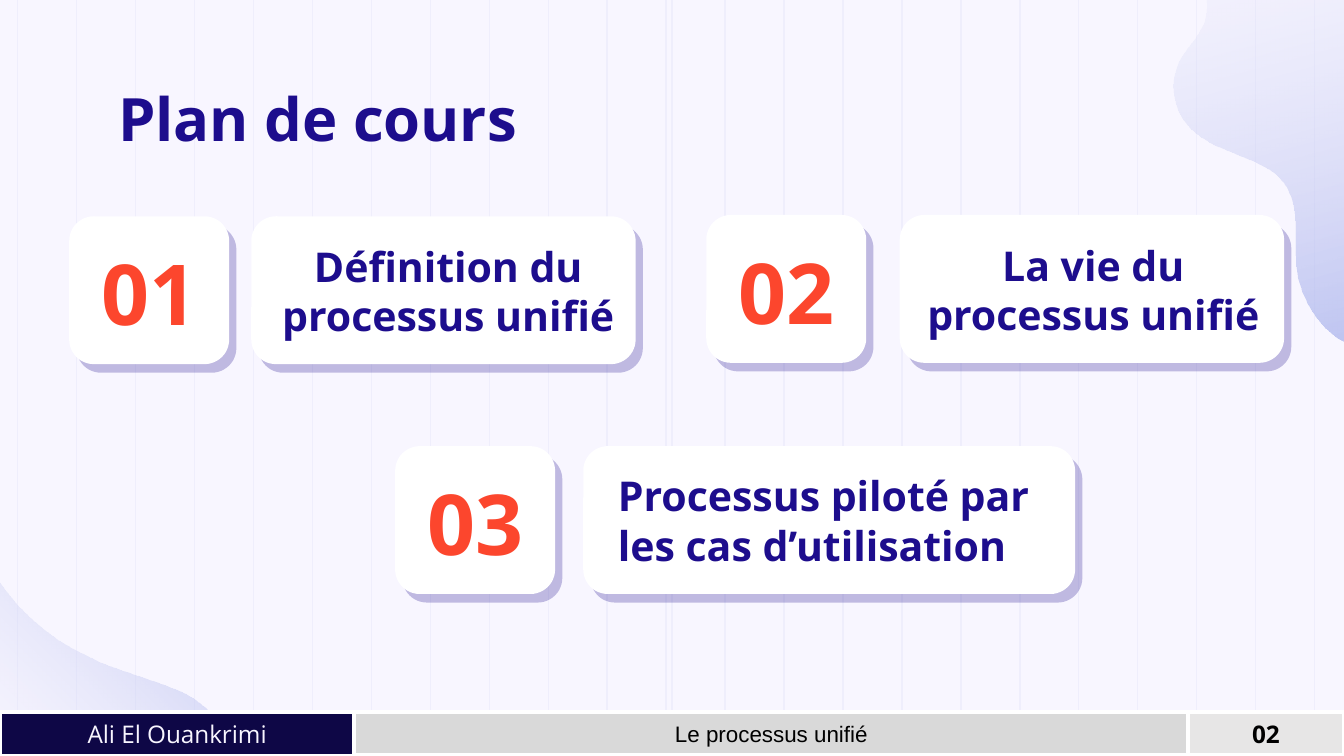
from dataclasses import dataclass
from typing import NamedTuple

from lxml.etree import SubElement
from pptx import Presentation
from pptx.dml.color import RGBColor
from pptx.enum.shapes import MSO_CONNECTOR, MSO_SHAPE
from pptx.enum.text import MSO_ANCHOR, PP_ALIGN
from pptx.oxml.ns import qn
from pptx.util import Emu, Inches, Pt

UNIT = Inches(0.1)  # one grid column or row
COLUMNS, ROWS = 100, 56.25

PAPER = RGBColor(0xF8, 0xF6, 0xFF)
RULE = RGBColor(0xEF, 0xEE, 0xFC)
PERIWINKLE = RGBColor(0x9B, 0xA6, 0xE9)
INDIGO = RGBColor(0x1D, 0x0D, 0x8D)
CORAL = RGBColor(0xFC, 0x46, 0x2D)
NAVY = RGBColor(0x0E, 0x07, 0x46)
GREY = RGBColor(0xD9, 0xD9, 0xD9)
PALE_GREY = RGBColor(0xE7, 0xE6, 0xE6)
WHITE = RGBColor(0xFF, 0xFF, 0xFF)
BLACK = RGBColor(0, 0, 0)

CARD_ROWS, NUMBER_COLUMNS = 11, 11.9


class Box(NamedTuple):
    column: float
    row: float
    columns: float
    rows: float

    def lengths(self) -> list[Emu]:
        return [grid(value) for value in self]


@dataclass(frozen=True)
class Topic:
    number: str
    caption: str
    row: float
    number_column: float
    card_column: float
    card_columns: float
    caption_box: Box
    align: PP_ALIGN = PP_ALIGN.CENTER


@dataclass(frozen=True)
class FooterCell:
    label: str
    box: Box
    fill: RGBColor
    color: RGBColor = BLACK
    font: str = "Open Sans"
    size: float = 13
    bold: bool = False


@dataclass(frozen=True)
class Wave:
    """A closed outline of cubic curves (two handles and an end each), then corners."""
    gradient_angle: float
    start: tuple
    curves: tuple
    corners: tuple = ()


TOPICS = (
    Topic("01", "Définition du processus unifié", 16.1, 5.15, 18.7, 28.6,
          Box(19.45, 17.3, 27.8, 8.7)),
    Topic("02", "La vie du processus unifié", 16, 52.55, 66.95, 28.6,
          Box(66.5, 16.1, 29.7, 10.9)),
    Topic("03", "Processus piloté par les cas d’utilisation", 33.2, 29.4, 43.4, 36.6,
          Box(45, 33.2, 33.4, 11), PP_ALIGN.LEFT),
)

FOOTER = (
    FooterCell("Le processus unifié", Box(26.35, 53, 62.1, 3.2), GREY, font="Arial", size=12),
    FooterCell("Ali El Ouankrimi", Box(0, 53, 26.35, 3.25), NAVY, color=PAPER),
    FooterCell("02", Box(88.4, 53, 11.6, 3.2), PALE_GREY, bold=True),
)

WAVES = (
    Wave(45, (18.1, 57.2), (
        (17.8, 54.8, 15.7, 52.6, 13.6, 51.5),
        (11.4, 50.5, 8.9, 50, 6.7, 48.9),
        (3.4, 47.4, 0.7, 44.9, -1, 41.7)), ((-1, 57.2),)),
    Wave(285, (106, 22.2), (
        (105.3, 23.9, 103.2, 26.1, 101.2, 25.8),
        (98.4, 25.3, 96.6, 22.2, 96.4, 19.7),
        (96.2, 17.7, 96.7, 15.6, 95.7, 13.9),
        (94.3, 11.5, 90.5, 11.6, 88.5, 9.5),
        (87.2, 8.2, 86.9, 6, 87.8, 4.4),
        (88.4, 3.3, 89.5, 2.4, 89.7, 1.1),
        (89.9, 0.3, 89.7, -0.6, 89.6, -1.4),
        (89.4, -3.2, 90.1, -5.7, 91.8, -6.5),
        (92.9, -7, 94.6, -6.9, 95.7, -6.4),
        (96.8, -6, 97.7, -5.2, 98.5, -4.4),
        (103.3, -0.1, 105.9, 6, 107.1, 12.6),
        (107.1, 12.6, 108.2, 17.9, 106, 22.2))),
)


def grid(value: float) -> Emu:
    return Emu(round(value * UNIT))


def write(frame, text: str, *, size: float, color: RGBColor, font: str = "Open Sans",
          bold: bool = True, align: PP_ALIGN = PP_ALIGN.CENTER,
          anchor: MSO_ANCHOR = MSO_ANCHOR.MIDDLE) -> None:
    frame.word_wrap = True
    frame.vertical_anchor = anchor
    paragraph = frame.paragraphs[0]
    paragraph.alignment = align
    run = paragraph.add_run()
    run.text = text
    run.font.name, run.font.size, run.font.bold = font, Pt(size), bold
    run.font.color.rgb = color


def add_text(slide, box: Box, text: str, **text_format) -> None:
    frame = slide.shapes.add_textbox(*box.lengths()).text_frame
    frame.margin_left = frame.margin_right = frame.margin_top = frame.margin_bottom = UNIT
    write(frame, text, **text_format)


def add_rules(slide, columns: list[float]) -> None:
    rules = slide.shapes.add_group_shape()
    for column in columns:
        rule = rules.shapes.add_connector(
            MSO_CONNECTOR.STRAIGHT, grid(column), grid(-2.8), grid(column), grid(59.1))
        rule.line.color.rgb = RULE
        rule.line.width = Pt(0.75)
        SubElement(rule._element.spPr, qn("a:effectLst"))


def bend(shape, curve_count: int) -> None:
    """Turn each leading group of three line segments into one cubic curve."""
    segments = list(shape._element.spPr.iter(qn("a:lnTo")))
    for first in range(0, curve_count * 3, 3):
        curve, *others = segments[first:first + 3]
        curve.tag = qn("a:cubicBezTo")
        for segment in others:
            curve.append(segment[0])
            segment.getparent().remove(segment)


def add_wave(slide, wave: Wave) -> None:
    points = [curve[i:i + 2] for curve in wave.curves for i in (0, 2, 4)]
    points += wave.corners
    builder = slide.shapes.build_freeform(*map(grid, wave.start))
    builder.add_line_segments([(grid(x), grid(y)) for x, y in points], close=True)
    shape = builder.convert_to_shape()
    bend(shape, len(wave.curves))
    shape.shadow.inherit = False
    shape.line.fill.background()
    shape.fill.gradient()
    shape.fill.gradient_angle = wave.gradient_angle
    for stop, color in zip(shape.fill.gradient_stops, (RULE, PERIWINKLE)):
        stop.color.rgb = color
    for color, opacity in zip(shape._element.spPr.iter(qn("a:srgbClr")), (13, 69)):
        SubElement(color, qn("a:alpha"), val=str(opacity * 1000))


def add_card(slide, box: Box) -> None:
    card = slide.shapes.add_shape(MSO_SHAPE.ROUNDED_RECTANGLE, *box.lengths())
    card.shadow.inherit = False
    card.fill.solid()
    card.fill.fore_color.rgb = WHITE
    card.line.fill.background()
    effects = card._element.spPr.find(qn("a:effectLst"))
    shadow = SubElement(effects, qn("a:outerShdw"), blurRad="0", dist=str(Pt(6)),
                        dir=str(50 * 60000), algn="bl", rotWithShape="0")
    color = SubElement(shadow, qn("a:srgbClr"), val=str(INDIGO))
    SubElement(color, qn("a:alpha"), val="25000")


def add_topic(slide, topic: Topic) -> None:
    add_card(slide, Box(topic.number_column, topic.row, NUMBER_COLUMNS, CARD_ROWS))
    add_card(slide, Box(topic.card_column, topic.row, topic.card_columns, CARD_ROWS))
    add_text(slide, topic.caption_box, topic.caption, size=22, color=INDIGO, align=topic.align)
    add_text(slide, Box(topic.number_column, topic.row + 1.3, NUMBER_COLUMNS, 8.7),
             topic.number, size=45, color=CORAL)


def add_footer_cell(slide, cell: FooterCell) -> None:
    band = slide.shapes.add_shape(MSO_SHAPE.RECTANGLE, *cell.box.lengths())
    band.shadow.inherit = False
    band.fill.solid()
    band.fill.fore_color.rgb = cell.fill
    band.line.color.rgb = WHITE
    band.line.width = Pt(2)
    write(band.text_frame, cell.label, size=cell.size, color=cell.color,
          font=cell.font, bold=cell.bold)


def main() -> None:
    deck = Presentation()
    deck.slide_width, deck.slide_height = grid(COLUMNS), grid(ROWS)
    slide = deck.slides.add_slide(deck.slide_layouts[6])
    slide.background.fill.solid()
    slide.background.fill.fore_color.rgb = PAPER
    add_rules(slide, [1.32 + 4.386 * index for index in range(23)] + [COLUMNS / 2])
    for wave in WAVES:
        add_wave(slide, wave)
    add_text(slide, Box(7.8, 5.1, 42.1, 7.7), "Plan de cours", size=32, color=INDIGO,
             align=PP_ALIGN.LEFT, anchor=MSO_ANCHOR.TOP)
    for topic in TOPICS:
        add_topic(slide, topic)
    for cell in FOOTER:
        add_footer_cell(slide, cell)
    deck.save("out.pptx")


if __name__ == "__main__":
    main()
